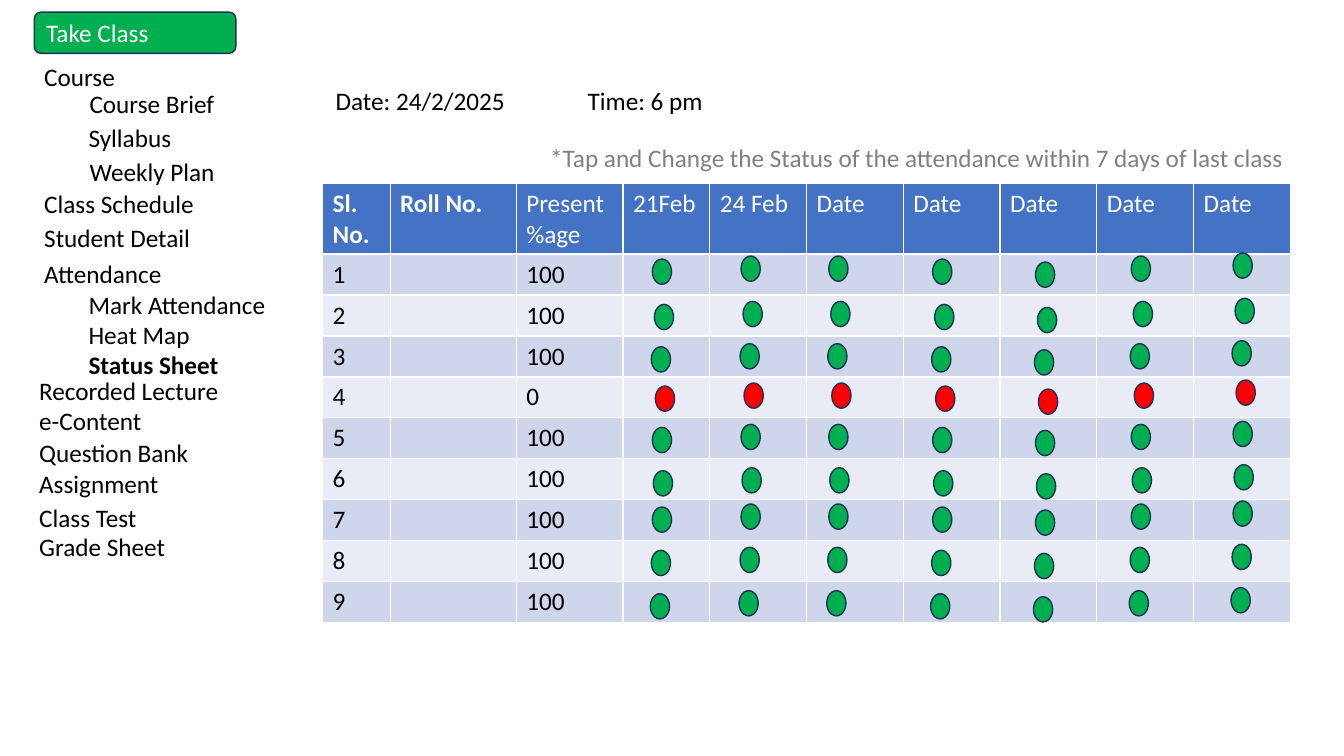
from pptx import Presentation
from pptx.dml.color import RGBColor
from pptx.enum.shapes import MSO_SHAPE as Preset
from pptx.enum.text import MSO_ANCHOR as Anchor, MSO_AUTO_SIZE as AutoSize, PP_ALIGN as Align
from pptx.util import Inches, Pt

COLORS = {
    "black": "000000",
    "white": "FFFFFF",
    "note": "808080",
    "header": "4472C4",
    "odd_row": "CFD5EA",
    "even_row": "E9EBF5",
    "present": "00B050",
    "absent": "FF0000",
    "outline": "1E3256",
}

# Left, top, width, height and the lines of each sidebar entry
MENU = [
    (0.34, 0.56, 2.12, 0.4, ["Course"]),
    (0.79, 0.83, 2, 0.4, ["Course Brief"]),
    (0.78, 1.16, 2.12, 0.4, ["Syllabus"]),
    (0.79, 1.5, 2, 0.4, ["Weekly Plan"]),
    (0.34, 1.82, 2.12, 0.4, ["Class Schedule"]),
    (0.34, 2.16, 2.42, 0.4, ["Student Detail"]),
    (0.34, 2.51, 1.86, 0.4, ["Attendance"]),
    (0.78, 2.82, 2, 1.01, ["Mark Attendance", "Heat Map", "Status Sheet"]),
    (0.29, 3.67, 2, 0.4, ["Recorded Lecture"]),
    (0.29, 3.97, 2.12, 0.4, ["e-Content"]),
    (0.29, 4.29, 2.12, 0.4, ["Question Bank"]),
    (0.29, 4.6, 2.12, 0.4, ["Assignment"]),
    (0.29, 4.93, 2.12, 0.4, ["Class Test"]),
    (0.29, 5.22, 2.12, 0.4, ["Grade Sheet"]),
]
CURRENT_ENTRY = "Status Sheet"

HEADERS = ["Sl. No.", "Roll No.", "Present %age", "21Feb", "24 Feb"] + ["Date"] * 5
BOLD_HEADERS = HEADERS[:2]
COLUMN_WIDTHS = [0.67, 1.25, 1.06, 0.86] + [0.96] * 6
PERCENTAGES = [100, 100, 100, 0, 100, 100, 100, 100, 100]
TABLE_HEIGHT = 4.35
HEADER_HEIGHT = 0.69

# Dots: left and vertical shift per date, top and horizontal shift per student
DATE_DOTS = [(6.47, 0), (7.35, -0.03), (8.22, -0.03), (9.25, 0),
             (10.27, 0.03), (11.22, -0.03), (12.23, -0.06)]
STUDENT_DOTS = [(2.57, 0), (3.02, 0.02), (3.44, -0.01), (3.83, 0.03), (4.24, 0),
                (4.67, 0.01), (5.03, 0), (5.46, -0.01), (5.89, -0.02)]


def rgb(name):
    return RGBColor.from_string(COLORS[name])


def add_span(para, text, color="black", bold=False):
    span = para.add_run()
    span.text = text
    span.font.name = "Calibri"
    span.font.size = Pt(18)
    span.font.bold = bold
    span.font.color.rgb = rgb(color)


def add_text(page, left, top, width, height, lines, color="black", align=Align.LEFT):
    box = page.shapes.add_textbox(Inches(left), Inches(top), Inches(width), Inches(height))
    frame = box.text_frame
    frame.word_wrap = True
    frame.auto_size = AutoSize.SHAPE_TO_FIT_TEXT
    for index, line in enumerate(lines):
        para = frame.add_paragraph() if index else frame.paragraphs[0]
        para.alignment = align
        add_span(para, line, color, bold=line == CURRENT_ENTRY)


def add_outlined_shape(page, preset, left, top, width, height, fill):
    shape = page.shapes.add_shape(
        preset, Inches(left), Inches(top), Inches(width), Inches(height))
    shape.shadow.inherit = False
    shape.fill.solid()
    shape.fill.fore_color.rgb = rgb(fill)
    shape.line.color.rgb = rgb("outline")
    shape.line.width = Pt(1)
    return shape


def add_button(page):
    button = add_outlined_shape(page, Preset.ROUNDED_RECTANGLE, 0.34, 0.12, 2, 0.41, "present")
    button.text_frame.vertical_anchor = Anchor.MIDDLE
    para = button.text_frame.paragraphs[0]
    para.alignment = Align.LEFT
    add_span(para, "Take Class", "white")


def fill_cell(cell, fill, text="", color="black", bold=False):
    cell.fill.solid()
    cell.fill.fore_color.rgb = rgb(fill)
    if text:
        add_span(cell.text_frame.paragraphs[0], text, color, bold)


def add_attendance_table(page):
    row_height = (TABLE_HEIGHT - HEADER_HEIGHT) / len(PERCENTAGES)
    table = page.shapes.add_table(
        len(PERCENTAGES) + 1, len(HEADERS), Inches(3.2), Inches(1.82),
        Inches(sum(COLUMN_WIDTHS)), Inches(TABLE_HEIGHT)).table
    for column, width in zip(table.columns, COLUMN_WIDTHS):
        column.width = Inches(width)
    for index, row in enumerate(table.rows):
        row.height = Inches(row_height if index else HEADER_HEIGHT)

    for column, header in enumerate(HEADERS):
        fill_cell(table.cell(0, column), "header", header, "white", header in BOLD_HEADERS)
    for number, percentage in enumerate(PERCENTAGES, start=1):
        fill = "odd_row" if number % 2 else "even_row"
        texts = {0: str(number), 2: str(percentage)}
        for column in range(len(HEADERS)):
            fill_cell(table.cell(number, column), fill, texts.get(column, ""))


def add_status_dots(page):
    for left, shift_down in DATE_DOTS:
        for (top, shift_right), percentage in zip(STUDENT_DOTS, PERCENTAGES):
            add_outlined_shape(page, Preset.OVAL, left + shift_right, top + shift_down,
                               0.19, 0.25, "present" if percentage else "absent")


def main():
    deck = Presentation()
    deck.slide_width = Inches(13.33)
    deck.slide_height = Inches(7.5)
    page = deck.slides.add_slide(deck.slide_layouts[6])

    add_text(page, 3.23, 0.8, 5.71, 0.4, ["Date: 24/2/2025 \t\tTime: 6 pm"])
    add_text(page, 4, 1.36, 8.88, 0.4,
             ["*Tap and Change the Status of the attendance within 7 days of last class "],
             "note", Align.RIGHT)
    add_attendance_table(page)
    add_status_dots(page)
    add_button(page)
    for entry in MENU:
        add_text(page, *entry)

    deck.save("out.pptx")


if __name__ == "__main__":
    main()
